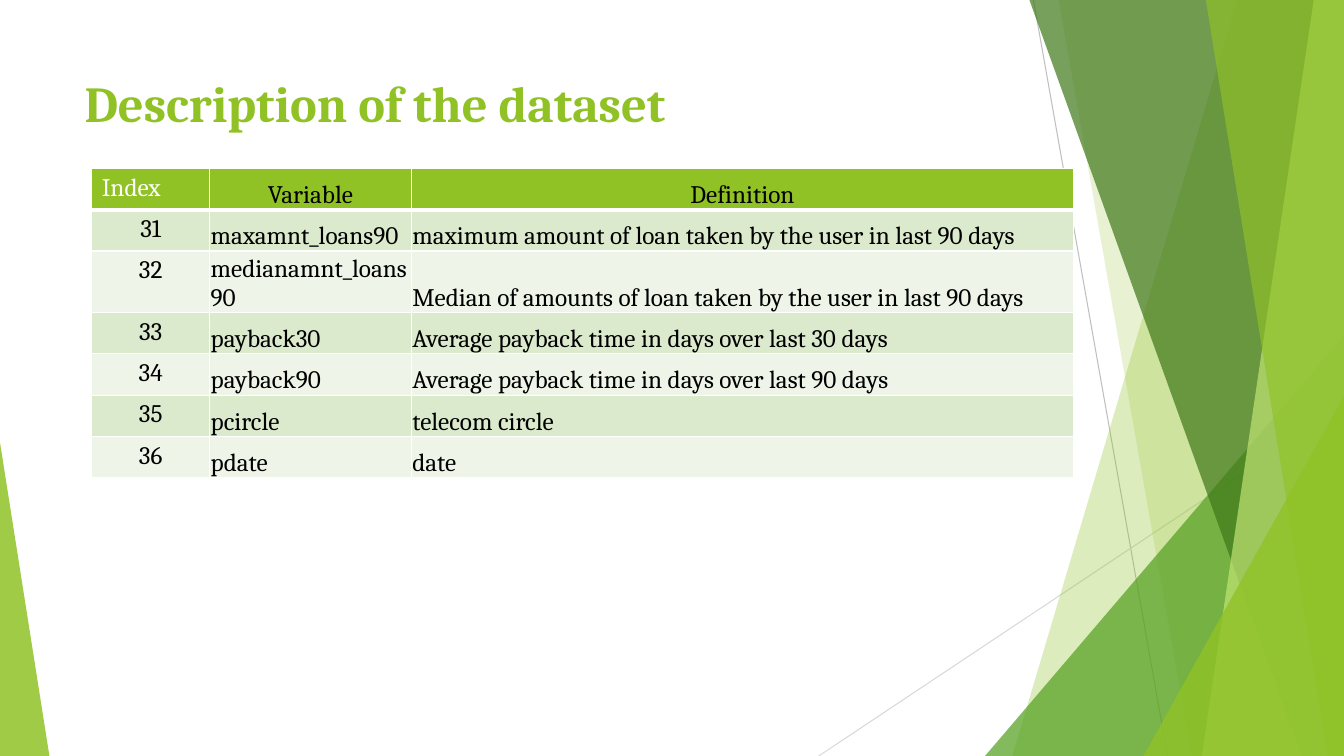
from lxml import etree
from pptx import Presentation
from pptx.dml.color import RGBColor
from pptx.enum.shapes import MSO_CONNECTOR, MSO_SHAPE
from pptx.enum.text import MSO_ANCHOR, PP_ALIGN
from pptx.oxml.ns import qn
from pptx.util import Inches, Pt

STRAIGHT = MSO_CONNECTOR.STRAIGHT
TRIANGLE = MSO_SHAPE.ISOSCELES_TRIANGLE
TOP, BOTTOM = MSO_ANCHOR.TOP, MSO_ANCHOR.BOTTOM
LEFT, CENTER = PP_ALIGN.LEFT, PP_ALIGN.CENTER

FONT = "Cambria"
GREEN, WHITE, BLACK = "90C226", "FFFFFF", "000000"
BANDS = ("DBE9CD", "EEF4E8")
WIDTH, HEIGHT = 13.33, 7.5

# Lines: (start inset from right, start y, end inset, end y, colour)
RAYS = [(3.08, 0, 1.75, 7.5, "BFBFBF"), (0, 4.03, 5.21, 7.5, "D9D9D9")]
# Facets along the right edge, back to front:
# ("quad", top inset, bottom inset, ...) or ("triangle", width, height, ...)
FACETS = [
    ("quad", 1.06, 3.29, GREEN, 30),
    ("quad", 2.83, 1.51, GREEN, 20),
    ("triangle", 3.56, 4.17, "54A021", 72),
    ("quad", 3.12, 0.42, "3F7819", 70),
    ("quad", 0.3, 1.41, "C0E474", 70),
    ("quad", 1.37, 0.16, GREEN, 65),
    ("triangle", 1.99, 3.57, GREEN, 80),
]
COLUMNS = (1.17, 2, 6.57)
ROWS = [
    ("Index", "Variable", "Definition"),
    ("31", "maxamnt_loans90", "maximum amount of loan taken by the user in last 90 days"),
    ("32", "medianamnt_loans90", "Median of amounts of loan taken by the user in last 90 days"),
    ("33", "payback30", "Average payback time in days over last 30 days"),
    ("34", "payback90", "Average payback time in days over last 90 days"),
    ("35", "pcircle", "telecom circle"),
    ("36", "pdate", "date"),
]


def rgb(color):
    return RGBColor.from_string(color)


def add_run(p, text, size, color, bold=False):
    r = p.add_run()
    r.text = text
    r.font.name, r.font.size, r.font.bold = FONT, Pt(size), bold
    r.font.color.rgb = rgb(color)


def paint(sp, color, opacity):
    sp.shadow.inherit = False
    sp.line.fill.background()
    sp.fill.solid()
    sp.fill.fore_color.rgb = rgb(color)
    clr = sp.fill._xPr.find(".//" + qn("a:srgbClr"))
    etree.SubElement(clr, qn("a:alpha"), val=str(opacity * 1000))


def add_triangle(slide, x, y, w, h, apex, color, opacity):
    sp = slide.shapes.add_shape(TRIANGLE, Inches(x), Inches(y), Inches(w), Inches(h))
    sp.adjustments[0] = apex
    paint(sp, color, opacity)


def add_decoration(slide, x, y, w, h):
    right, bottom = x + w, y + h
    # Thin rays
    for inset1, y1, inset2, y2, color in RAYS:
        line = slide.shapes.add_connector(
            STRAIGHT, Inches(right - inset1), Inches(y + y1),
            Inches(right - inset2), Inches(y + y2))
        line.line.color.rgb = rgb(color)
        line.line.width = Pt(0.75)
        etree.SubElement(line._element.spPr, qn("a:effectLst"))
    # Translucent facets
    for kind, a, b, color, opacity in FACETS:
        if kind == "triangle":
            add_triangle(slide, right - a, bottom - b, a, b, 1, color, opacity)
            continue
        corners = [(right - a, y), (right, y), (right, bottom), (right - b, bottom)]
        points = [(Inches(px), Inches(py)) for px, py in corners]
        builder = slide.shapes.build_freeform(*points[0], scale=1)
        builder.add_line_segments(points[1:], close=True)
        paint(builder.convert_to_shape(), color, opacity)
    # Left corner
    add_triangle(slide, x, bottom - 3.11, 0.49, 3.11, 0, GREEN, 85)


def add_title(slide, x, y, w, h):
    tf = slide.shapes.add_textbox(Inches(x), Inches(y), Inches(w), Inches(h)).text_frame
    tf.word_wrap = True
    tf.vertical_anchor = TOP
    add_run(tf.paragraphs[0], "Description of the dataset", 36, GREEN, True)


def set_borders(cell, top, bottom):
    tcPr = cell._tc.get_or_add_tcPr()
    sides = (("L", 1), ("R", 1), ("T", top), ("B", bottom))
    for i, (side, width) in enumerate(sides):
        ln = etree.Element(qn("a:ln" + side), w=str(Pt(width)))
        fill = etree.SubElement(ln, qn("a:solidFill"))
        etree.SubElement(fill, qn("a:srgbClr"), val=WHITE)
        tcPr.insert(i, ln)


def add_variables_table(slide, x, y, w, row_h):
    table = slide.shapes.add_table(
        len(ROWS), len(COLUMNS), Inches(x), Inches(y),
        Inches(w), Inches(row_h * len(ROWS))).table
    for column, share in zip(table.columns, COLUMNS):
        column.width = Inches(w * share / sum(COLUMNS))
    for i, row in enumerate(ROWS):
        table.rows[i].height = Inches(row_h)
        header = i == 0
        for j, text in enumerate(row):
            cell = table.cell(i, j)
            index = j == 0
            if not index:
                cell.vertical_anchor = BOTTOM
                cell.margin_left = cell.margin_right = cell.margin_top = Inches(0.01)
                cell.margin_bottom = 0
            cell.fill.solid()
            cell.fill.fore_color.rgb = rgb(GREEN if header else BANDS[(i - 1) % 2])
            set_borders(cell, 3 if i == 1 else 1, 3 if header else 1)
            p = cell.text_frame.paragraphs[0]
            # Centred: index numbers and the other column headings
            p.alignment = CENTER if header != index else LEFT
            add_run(p, text, 18, WHITE if header and index else BLACK)


def main():
    prs = Presentation()
    prs.slide_width, prs.slide_height = Inches(WIDTH), Inches(HEIGHT)
    slide = prs.slides.add_slide(prs.slide_layouts[6])
    add_decoration(slide, 0, 0, WIDTH, HEIGHT)
    add_title(slide, 0.74, 0.67, 9.4, 1.44)
    add_variables_table(slide, 0.91, 1.67, sum(COLUMNS), 0.41)
    prs.save("out.pptx")


if __name__ == "__main__":
    main()
